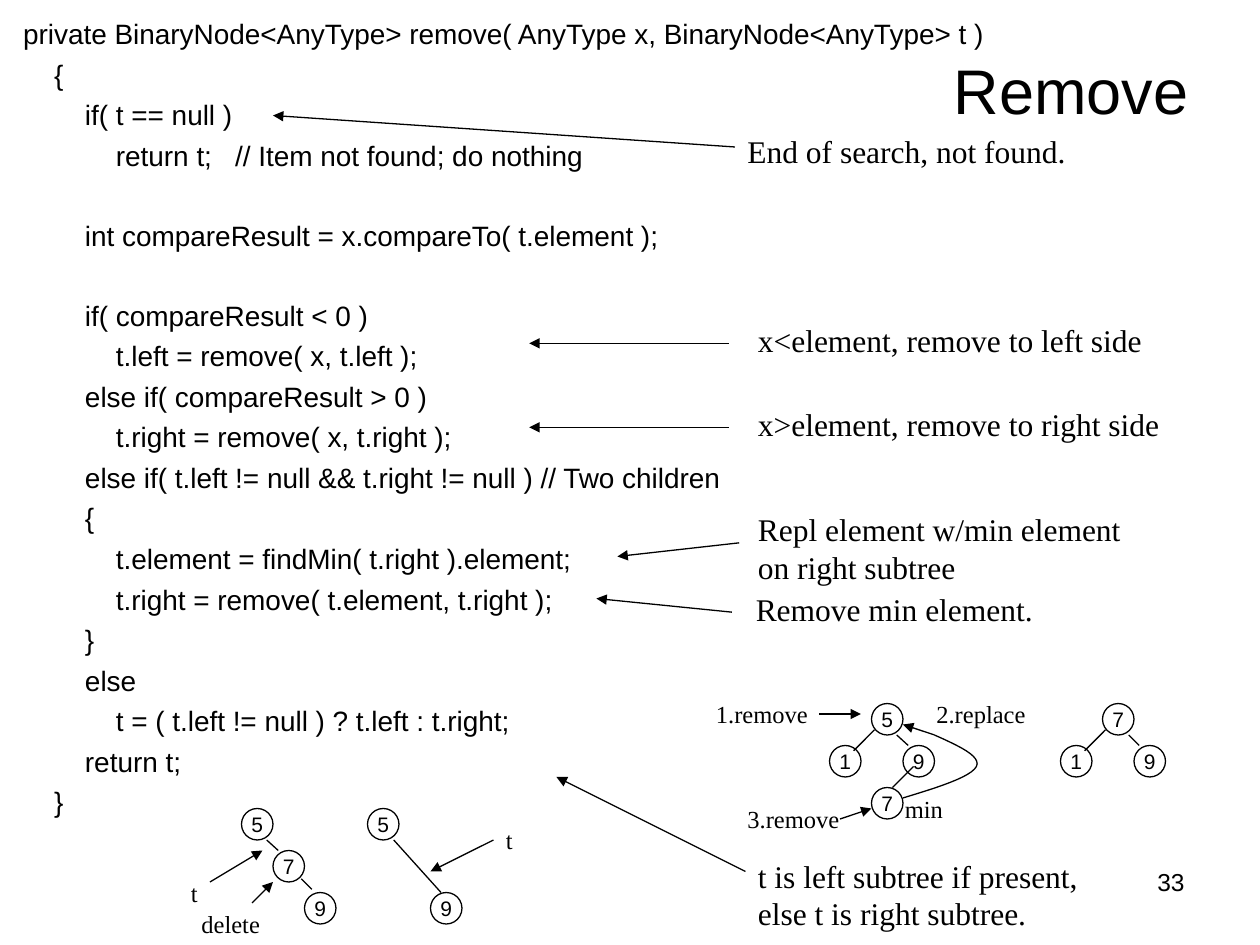
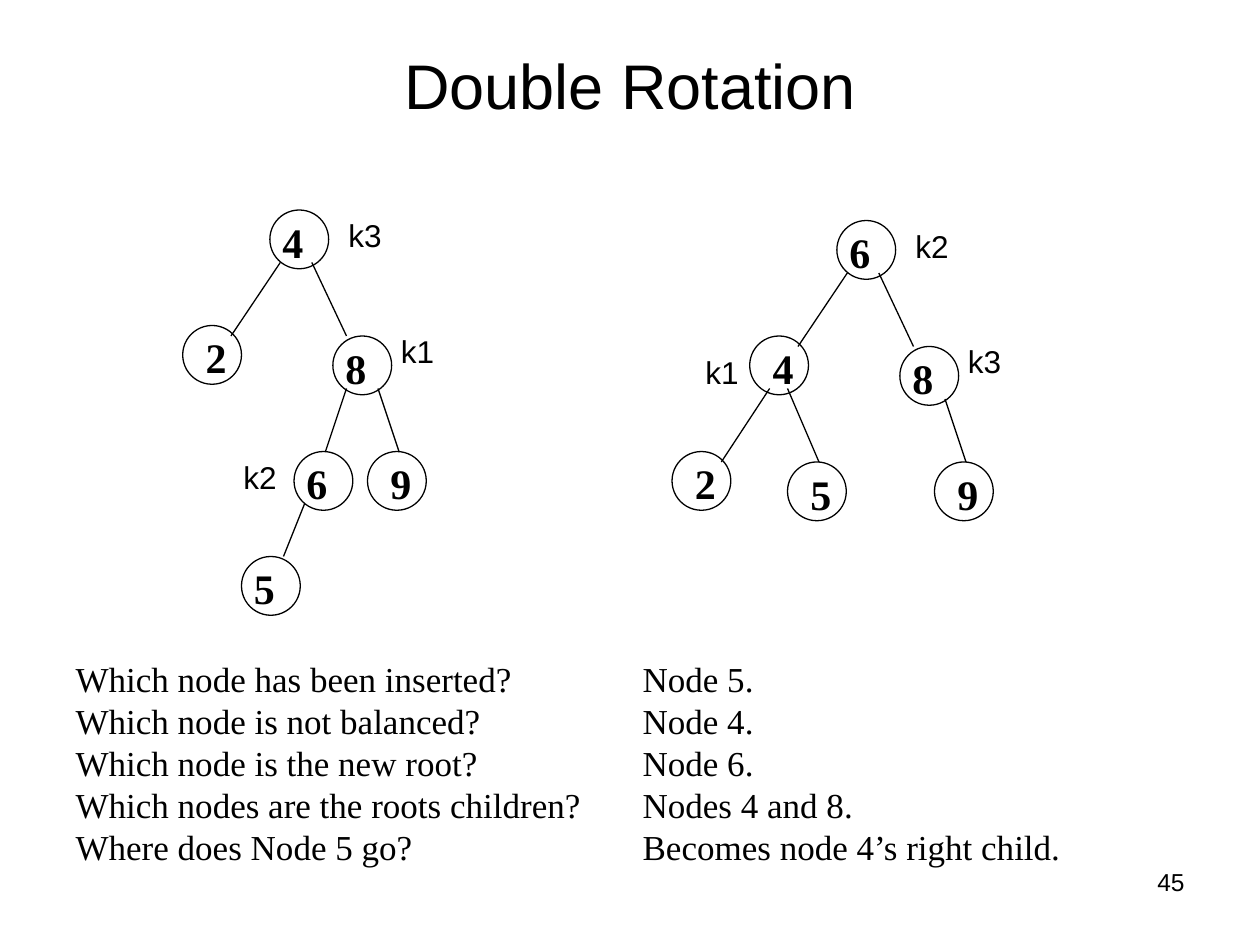
from lxml.etree import SubElement
from pptx import Presentation
from pptx.dml.color import RGBColor
from pptx.enum.shapes import MSO_CONNECTOR, MSO_SHAPE
from pptx.enum.text import MSO_ANCHOR, MSO_AUTO_SIZE, PP_ALIGN
from pptx.oxml.ns import qn
from pptx.util import Inches, Pt

COLORS = {"ink": "000000"}
SANS, SERIF = "Arial", "Times New Roman"
WIDTH, HEIGHT = Inches(10), Inches(7.5)
COLUMN, ROW = WIDTH / 120, HEIGHT / 90
LINE_WIDTH = Pt(0.75)

CODE = """private BinaryNode<AnyType> remove( AnyType x, BinaryNode<AnyType> t )
    {
        if( t == null )
            return t;   // Item not found; do nothing

        int compareResult = x.compareTo( t.element );

        if( compareResult < 0 )
            t.left = remove( x, t.left );
        else if( compareResult > 0 )
            t.right = remove( x, t.right );
        else if( t.left != null && t.right != null ) // Two children
        {
            t.element = findMin( t.right ).element;
            t.right = remove( t.element, t.right );
        }
        else
            t = ( t.left != null ) ? t.left : t.right;
        return t;
    }"""

REMARKS = [
    ("End of search, not found.", (70, 12, 32.8, 4.8), (70, 14, 26, 11)),
    ("x<element, remove to left side", (71, 30, 39, 4.8), (69.4, 32.7, 50.4, 32.7)),
    ("x>element, remove to right side", (71, 38, 40.7, 4.8), (69.4, 40.7, 50.4, 40.7)),
    ("Repl element w/min element\non right subtree", (71, 48, 37.8, 8.4), (70.4, 51.7, 58.8, 53)),
    ("Remove min element.", (70.8, 55.6, 28.8, 4.8), (69.7, 58.3, 56.8, 57)),
    ("t is left subtree if present,\nelse t is right subtree.", (71, 81, 40.3, 8.4), (71, 83, 53, 74)),
]

DELETE_TREE = {
    "nodes": [("5", 6, 0), ("7", 9, 4), ("9", 12, 8)],
    "edges": [(8.4, 3, 9.5, 4), (11.7, 6.7, 12.7, 7.7)],
    "labels": [("t", 0, 6, 3.1), ("delete", 1, 9, 8)],
    "arrows": [(3, 7, 8, 4), (7, 9, 9, 7)],
}
DELETED_TREE = {
    "nodes": [("5", 0, 0), ("9", 6, 8)],
    "edges": [(2.5, 3, 7, 8)],
    "labels": [("t", 12, 1, 3.1)],
    "arrows": [(12, 3, 6, 6)],
}
REPLACE_TREE = {
    "nodes": [("5", 16, 1), ("1", 12, 5), ("9", 19, 5), ("7", 16, 9)],
    "edges": [(16.3, 3.5, 14.3, 5.5), (18.4, 4, 19.5, 5), (20, 7, 18, 9)],
    "labels": [("1.remove", 0, 0, 11.2), ("2.replace", 21, 0, 11),
               ("3.remove", 3, 10, 11.2), ("min", 18, 9, 6)],
    "arrows": [(11, 2, 15, 2), (13, 12, 16, 11), (22, 4, 19, 3)],
    "curves": [((22, 4), (24.2, 5), (26.5, 6), (26, 7)),
               ((26, 7), (25.5, 8), (22.3, 9), (19, 10))],
}
REPLACED_TREE = {
    "nodes": [("7", 4, 0), ("1", 0, 4), ("9", 7, 4)],
    "edges": [(4.3, 2.5, 2.3, 4.5), (6.5, 3, 7.5, 4)],
}
UNBALANCED_TREE = {
    "nodes": [("4", 8.7, 0, 0), ("2", 0.4, 11, 1), ("8", 14.7, 12, 0),
              ("6", 11, 23, 0), ("9", 18, 23, 1), ("5", 6, 33, 0)],
    "edges": [(9.7, 5, 5, 12), (12.7, 5, 16, 12), (16, 17, 14, 23),
              (19, 17, 21, 23), (10, 33, 12, 28)],
    "labels": [("k1", 20, 11), ("k2", 5, 23), ("k3", 15, 0)],
}
ROTATED_TREE = {
    "nodes": [("6", 15.7, 0, 0), ("4", 7.4, 11, 1), ("8", 21.7, 12, 0),
              ("5", 11, 23, 1), ("9", 25, 23, 1), ("2", 0, 22, 1)],
    "edges": [(16.7, 5, 12, 12), (19.7, 5, 23, 12), (11, 16, 14, 23),
              (26, 17, 28, 23), (9.3, 16, 4.7, 23)],
    "labels": [("k3", 27, 11), ("k1", 2, 12), ("k2", 22, 0)],
}
QUESTIONS = """Which node has been inserted?
Which node is not balanced?
Which node is the new root?
Which nodes are the roots children?
Where does Node 5 go?"""
ANSWERS = """Node 5.
Node 4.
Node 6.
Nodes 4 and 8.
Becomes node 4’s right child."""


def grid(left, top, *size):
    """Turn columns and rows into lengths."""
    return [round(value * unit) for value, unit in zip((left, top, *size), (COLUMN, ROW) * 2)]


def ink_line(line):
    """Give a line the shared colour and width."""
    line.color.rgb = RGBColor.from_string(COLORS["ink"])
    line.width = LINE_WIDTH


def style_text(text_frame, font, size, alignment=PP_ALIGN.LEFT, bold=False):
    """Format every run of a text frame."""
    for paragraph in text_frame.paragraphs:
        paragraph.alignment = alignment
        for run in paragraph.runs:
            run.font.name, run.font.size, run.font.bold = font, Pt(size), bold
            run.font.color.rgb = RGBColor.from_string(COLORS["ink"])


def add_label(shapes, text, box, font, size, bold=False):
    """Add a text box that fits its text."""
    text_frame = shapes.add_textbox(*grid(*box)).text_frame
    text_frame.text = text
    text_frame.word_wrap = False
    text_frame.auto_size = MSO_AUTO_SIZE.SHAPE_TO_FIT_TEXT
    style_text(text_frame, font, size, bold=bold)


def add_line(shapes, ends, arrow=False):
    """Join two grid points, with an arrowhead if asked."""
    connector = shapes.add_connector(MSO_CONNECTOR.STRAIGHT, *grid(*ends))
    ink_line(connector.line)
    properties = connector._element.spPr
    if arrow:
        SubElement(properties.find(qn("a:ln")), qn("a:tailEnd"), type="triangle")
    SubElement(properties, qn("a:effectLst"))


def add_circle(shapes, left, top, diameter):
    """Add an outlined circle."""
    circle = shapes.add_shape(MSO_SHAPE.OVAL, *grid(left, top, diameter, diameter))
    circle.shadow.inherit = False
    circle.fill.background()
    ink_line(circle.line)
    return circle


def add_curve(shapes, left, top, curves, steps=12):
    """Trace joined cubic curves as one open outline."""
    points = []
    for curve in curves:
        for step in range(steps + 1):
            t = step / steps
            weights = ((1 - t) ** 3, 3 * t * (1 - t) ** 2, 3 * t * t * (1 - t), t ** 3)
            x, y = (sum(w * p[axis] for w, p in zip(weights, curve)) for axis in (0, 1))
            points.append(grid(left + x, top + y))
    builder = shapes.build_freeform(*points[0])
    builder.add_line_segments(points[1:], close=False)
    outline = builder.convert_to_shape()
    outline.shadow.inherit = False
    outline.fill.background()
    ink_line(outline.line)


def draw_lines(shapes, left, top, tree):
    """Draw the edges and arrows of a tree."""
    for kind in ("edges", "arrows"):
        for x1, y1, x2, y2 in tree.get(kind, []):
            add_line(shapes, (left + x1, top + y1, left + x2, top + y2), kind == "arrows")


def draw_small_tree(slide, left, top, tree):
    """Draw a tree with values centred in small circles."""
    shapes = slide.shapes
    for value, x, y in tree["nodes"]:
        text_frame = add_circle(shapes, left + x, top + y, 3).text_frame
        text_frame.text = value
        text_frame.word_wrap = False
        text_frame.vertical_anchor = MSO_ANCHOR.MIDDLE
        style_text(text_frame, SANS, 12, PP_ALIGN.CENTER)
    draw_lines(shapes, left, top, tree)
    for text, x, y, width in tree.get("labels", []):
        add_label(shapes, text, (left + x, top + y, width, 4), SERIF, 14)
    if "curves" in tree:
        add_curve(shapes, left, top, tree["curves"])


def draw_large_tree(slide, left, top, tree):
    """Draw a grouped tree with bold values and named nodes."""
    shapes = slide.shapes.add_group_shape().shapes
    for value, x, y, shift in tree["nodes"]:
        add_circle(shapes, left + x, top + y, 5.6)
        add_label(shapes, value, (left + x + shift, top + y, 4.4, 6), SERIF, 24, True)
    draw_lines(shapes, left, top, tree)
    for text, x, y in tree["labels"]:
        add_label(shapes, text, (left + x, top + y, 5.6, 4.8), SANS, 18)


def fill_placeholder(placeholder, box, text, font, size, alignment=PP_ALIGN.LEFT,
                     anchor=MSO_ANCHOR.TOP):
    """Move a placeholder and set its text without bullets."""
    placeholder.left, placeholder.top, placeholder.width, placeholder.height = grid(*box)
    text_frame = placeholder.text_frame
    text_frame.text = text
    text_frame.word_wrap = True
    text_frame.auto_size = MSO_AUTO_SIZE.NONE
    text_frame.vertical_anchor = anchor
    for paragraph in text_frame.paragraphs:
        properties = paragraph._p.get_or_add_pPr()
        properties.set("marL", "0")
        properties.set("indent", "0")
        SubElement(properties, qn("a:buNone"))
        paragraph.space_before = Pt(0)
    style_text(text_frame, font, size, alignment)
    return text_frame


def add_slide(presentation, layout, title, title_box, number):
    """Start a slide with its title and number."""
    slide = presentation.slides.add_slide(presentation.slide_layouts[layout])
    fill_placeholder(slide.shapes.title, title_box, title, SANS, 36,
                     PP_ALIGN.CENTER, MSO_ANCHOR.MIDDLE)
    text_frame = slide.shapes.add_textbox(*grid(86, 82, 28, 6.2)).text_frame
    text_frame.text = number
    text_frame.word_wrap = True
    style_text(text_frame, SANS, 14, PP_ALIGN.RIGHT)
    return slide


def write_code(slide, box):
    """Write the listing, with a wider gap for each empty line."""
    lines = CODE.split("\n")
    shown = [index for index, line in enumerate(lines) if line]
    text_frame = fill_placeholder(slide.placeholders[1], box,
                                  "\n".join(lines[index] for index in shown), SANS, 16)
    for paragraph, before, index in zip(text_frame.paragraphs[1:], shown, shown[1:]):
        paragraph.space_before = Pt(4 + 22.4 * (index - before - 1))


def build_remove(presentation):
    """Build the slide on removing a node."""
    slide = add_slide(presentation, 1, "Remove", (86, 4, 32, 9), "33")
    write_code(slide, (1, 1, 102, 87))
    for text, box, arrow in REMARKS:
        add_line(slide.shapes, arrow, True)
        add_label(slide.shapes, text, box, SERIF, 18)
    draw_small_tree(slide, 67, 66, REPLACE_TREE)
    draw_small_tree(slide, 101, 67, REPLACED_TREE)
    draw_small_tree(slide, 17, 77, DELETE_TREE)
    draw_small_tree(slide, 35, 77, DELETED_TREE)


def build_rotation(presentation):
    """Build the slide on double rotation."""
    slide = add_slide(presentation, 3, "Double Rotation", (9, 3, 102, 10), "45")
    draw_large_tree(slide, 17, 20, UNBALANCED_TREE)
    draw_large_tree(slide, 64, 21, ROTATED_TREE)
    fill_placeholder(slide.placeholders[1], (6, 62, 52, 21.4), QUESTIONS, SERIF, 20)
    fill_placeholder(slide.placeholders[2], (60, 62, 47, 21.4), ANSWERS, SERIF, 20)


def main():
    """Build and save the presentation."""
    presentation = Presentation()
    presentation.slide_width, presentation.slide_height = WIDTH, HEIGHT
    build_remove(presentation)
    build_rotation(presentation)
    presentation.save("out.pptx")


if __name__ == "__main__":
    main()
